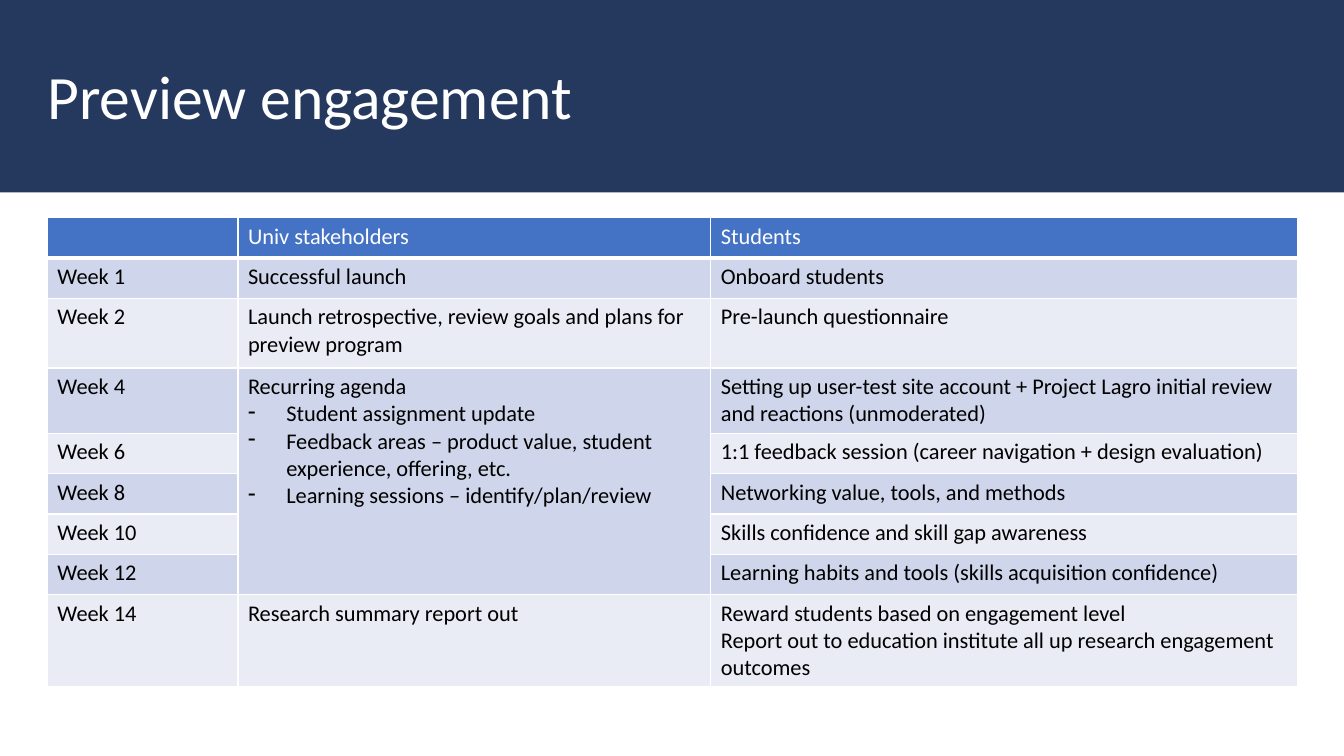
from lxml import etree
from pptx import Presentation
from pptx.dml.color import RGBColor
from pptx.enum.shapes import MSO_SHAPE
from pptx.oxml.ns import qn
from pptx.util import Inches, Pt

RECT = MSO_SHAPE.RECTANGLE
COLORS = {
    "navy": "25395E", "blue": "4472C4", "dark": "CFD5EA",
    "light": "E9EBF5", "white": "FFFFFF", "black": "000000",
}
WIDTHS = [1.89, 4.69, 5.82]
HEIGHTS = [0.4, 0.4, 0.69, 0.65, 0.4, 0.4, 0.4, 0.4, 0.91]
AGENDA = [
    "Recurring agenda",
    "- Student assignment update",
    "- Feedback areas – product value, student experience, offering, etc.",
    "- Learning sessions – identify/plan/review",
]
REPORT = [
    "Reward students based on engagement level",
    "Report out to education institute all up research engagement outcomes",
]
ROWS = [
    ["", "Univ stakeholders", "Students"],
    ["Week 1", "Successful launch", "Onboard students"],
    ["Week 2", "Launch retrospective, review goals and plans for preview program",
     "Pre-launch questionnaire"],
    ["Week 4", AGENDA,
     "Setting up user-test site account + Project Lagro initial review and reactions (unmoderated)"],
    ["Week 6", "", "1:1 feedback session (career navigation + design evaluation)"],
    ["Week 8", "", "Networking value, tools, and methods"],
    ["Week 10", "", "Skills confidence and skill gap awareness"],
    ["Week 12", "", "Learning habits and tools (skills acquisition confidence)"],
    ["Week 14", "Research summary report out", REPORT],
]


class Deck:
    """Hold the slide and its style, and add each kind of element."""

    def __init__(self, slide, font="Calibri"):
        self.slide = slide
        self.font = font

    def color(self, name):
        return RGBColor.from_string(COLORS[name])

    def style(self, para, size, color):
        for run in para.runs:
            run.font.name = self.font
            run.font.size = Pt(size)
            run.font.bold = False
            run.font.color.rgb = self.color(color)

    def band(self, left, top, width, height, color):
        shape = self.slide.shapes.add_shape(
            RECT, Inches(left), Inches(top), Inches(width), Inches(height))
        shape.shadow.inherit = False
        shape.fill.solid()
        shape.fill.fore_color.rgb = self.color(color)
        shape.line.fill.background()

    def title(self, text, left, top, width, height):
        box = self.slide.shapes.add_textbox(
            Inches(left), Inches(top), Inches(width), Inches(height))
        frame = box.text_frame
        frame.word_wrap = True
        frame.margin_left = frame.margin_right = frame.margin_bottom = 0
        frame.margin_top = Inches(0.18)
        frame.text = text
        para = frame.paragraphs[0]
        para.line_spacing = 0.9
        self.style(para, 44, "white")

    def bullet(self, para):
        props = para._p.get_or_add_pPr()
        props.set("marL", str(Inches(0.38)))
        props.set("indent", str(Inches(-0.38)))
        etree.SubElement(props, qn("a:buChar")).set("char", "-")

    def border(self, cell, base):
        props = cell._tc.get_or_add_tcPr()
        for side, size in zip("LRTB", (1, 1, 1, base)):
            line = etree.SubElement(props, qn("a:ln" + side))
            line.set("w", str(Pt(size)))
            fill = etree.SubElement(line, qn("a:solidFill"))
            etree.SubElement(fill, qn("a:srgbClr")).set("val", COLORS["white"])

    def cell(self, cell, text, fill, color, base):
        self.border(cell, base)
        cell.fill.solid()
        cell.fill.fore_color.rgb = self.color(fill)
        lines = text if isinstance(text, list) else [text]
        cell.text_frame.text = "\n".join(x.removeprefix("- ") for x in lines)
        for para, line in zip(cell.text_frame.paragraphs, lines):
            if line.startswith("- "):
                self.bullet(para)
            self.style(para, 16, color)

    def table(self, rows, left, top, widths, heights):
        table = self.slide.shapes.add_table(
            len(rows), len(widths), Inches(left), Inches(top),
            Inches(sum(widths)), Inches(sum(heights))).table
        for col, width in zip(table.columns, widths):
            col.width = Inches(width)
        for row, height in zip(table.rows, heights):
            row.height = Inches(height)
        for i, row in enumerate(rows):
            fill = "dark" if i % 2 else "light"
            look = (fill, "black", 1) if i else ("blue", "white", 3)
            for j, text in enumerate(row):
                self.cell(table.cell(i, j), text, *look)
        return table


def main():
    prs = Presentation()
    prs.slide_width = Inches(13.33)
    prs.slide_height = Inches(7.5)
    deck = Deck(prs.slides.add_slide(prs.slide_layouts[6]))
    deck.band(0, 0, 13.33, 1.91, "navy")
    deck.title("Preview engagement", 0.47, 0.48, 12.4, 0.81)
    table = deck.table(ROWS, 0.47, 2.16, WIDTHS, HEIGHTS)
    table.cell(3, 1).merge(table.cell(7, 1))
    prs.save("out.pptx")


if __name__ == "__main__":
    main()
